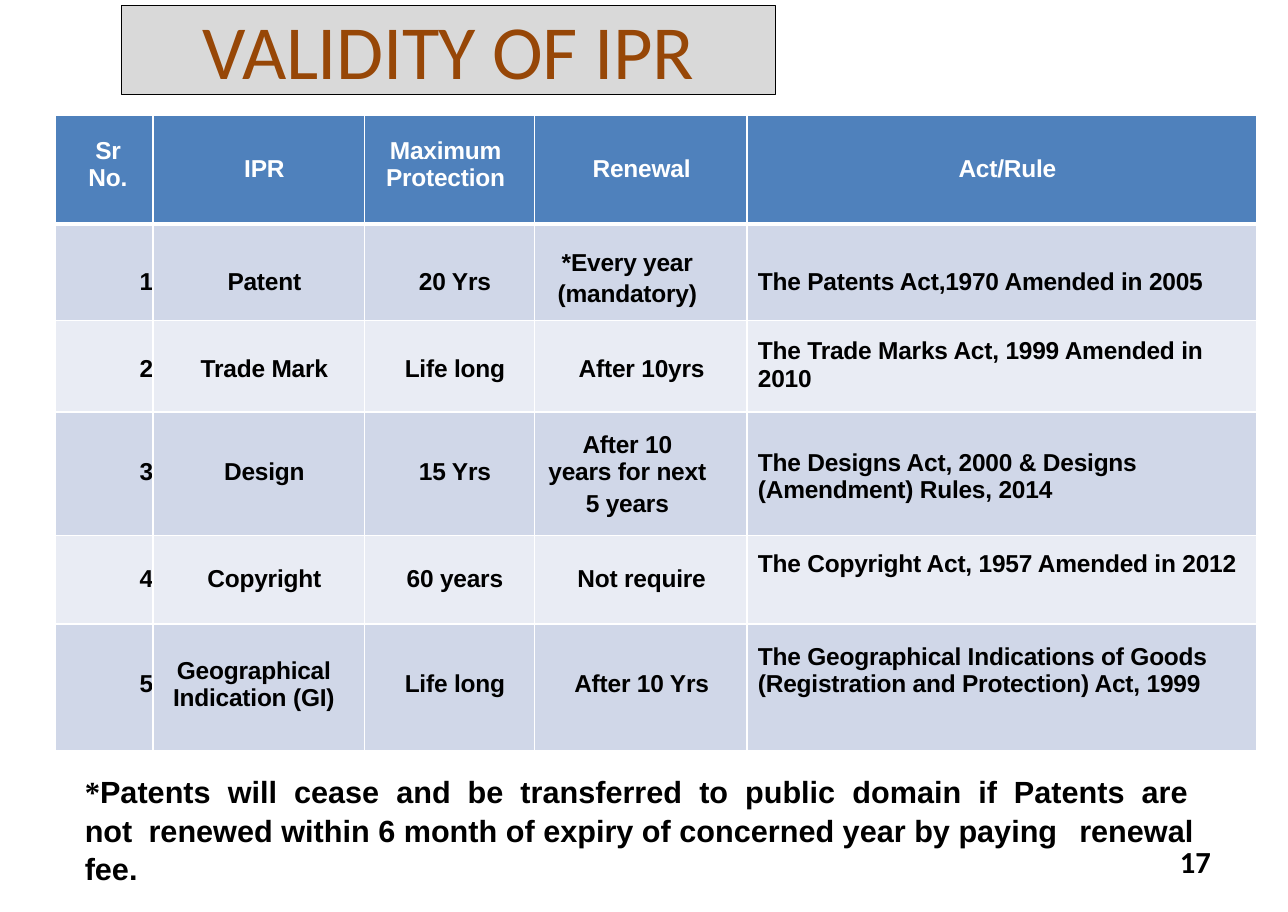
from lxml import etree
from pptx import Presentation
from pptx.dml.color import RGBColor
from pptx.enum.shapes import MSO_SHAPE
from pptx.enum.text import MSO_ANCHOR, PP_ALIGN
from pptx.oxml.ns import qn
from pptx.util import Inches, Pt

LEFT, CENTER, RIGHT = PP_ALIGN.LEFT, PP_ALIGN.CENTER, PP_ALIGN.RIGHT
TOP, MIDDLE = MSO_ANCHOR.TOP, MSO_ANCHOR.MIDDLE
RECTANGLE = MSO_SHAPE.RECTANGLE

COLORS = {
    "ink": "000000", "paper": "FFFFFF", "title": "974707", "title_fill": "D9D9D9",
    "header": "4F81BC", "odd": "D0D7E8", "even": "E9ECF4",
}
COLUMNS = [0.89, 1.92, 1.54, 1.93, 4.63]
ROWS = [0.99, 0.88, 0.83, 1.12, 0.81, 1.15]
ALIGNMENTS = [RIGHT, CENTER, CENTER, CENTER, LEFT]
# Left and right cell margins of each column
SIDES = [(0, 0), (0.1, 0), (0.1, 0), (0.02, 0), (0.1, 0)]
LEFT_EDGES = [1.5, 1, 1, 1, 1.5]
RIGHT_EDGES = [1, 1, 1, 1.5, 1.5]

VALIDITY = [
    ["Sr No.", "IPR", "Maximum Protection", "Renewal", "Act/Rule"],
    ["1", "Patent", "20 Yrs", "*Every year\n(mandatory)",
     "The Patents Act,1970 Amended in 2005"],
    ["2", "Trade Mark", "Life long", "After 10yrs",
     "The Trade Marks Act, 1999 Amended in 2010"],
    ["3", "Design", "15 Yrs", "After 10\vyears for next\n5 years",
     "The Designs Act, 2000 & Designs (Amendment) Rules, 2014"],
    ["4", "Copyright", "60 years", "Not require",
     "The Copyright Act, 1957 Amended in 2012"],
    ["5", "Geographical Indication (GI)", "Life long", "After 10 Yrs",
     "The Geographical Indications of Goods (Registration and Protection) Act, 1999"],
]
# Cells whose side margins differ from their column
CELL_SIDES = {(0, 0): (0.26, 0.19), (0, 2): (0.1, 0.17), (1, 3): (0, 0.24),
              (3, 3): (0, 0.24), (5, 1): (0, 0.09)}
# Distance of the text below the middle of its row, and cells that differ
ROW_SHIFTS = [0, 0.09, 0.03, -0.01, -0.01, -0.03]
CELL_SHIFTS = {(0, 0): -0.04, (0, 2): -0.04, (1, 3): 0.06, (2, 4): -0.01,
               (3, 3): 0.01, (3, 4): 0.03, (4, 4): -0.14, (5, 4): -0.16}

# Each stretch of the footnote with the points added to its word gaps
FOOTNOTE = [
    ("Patents will cease and be transferred to public domain if Patents are ", 5.5),
    ("not ", 5),
    ("renewed within 6 month of expiry of concerned year by ", 0),
    ("paying ", 8),
    ("renewal fee.", 0),
]


def color(name):
    return RGBColor.from_string(COLORS[name])


def style_font(font, ink, **values):
    for name, value in values.items():
        setattr(font, name, value)
    font.color.rgb = color(ink)


def set_margins(target, left=0, top=0, right=0, bottom=0):
    margins = {"left": left, "top": top, "right": right, "bottom": bottom}
    for side, length in margins.items():
        setattr(target, f"margin_{side}", Inches(length))


def add_text_box(page, box):
    frame = page.shapes.add_textbox(*map(Inches, box)).text_frame
    frame.word_wrap = True
    set_margins(frame)
    return frame


def add_title(page, box):
    shape = page.shapes.add_shape(RECTANGLE, *map(Inches, box))
    shape.shadow.inherit = False
    shape.fill.solid()
    shape.fill.fore_color.rgb = color("title_fill")
    shape.line.color.rgb = color("ink")
    shape.line.width = Pt(0.72)
    frame = shape.text_frame
    frame.vertical_anchor = TOP
    set_margins(frame)
    para = frame.paragraphs[0]
    para.alignment, para.line_spacing = CENTER, Pt(58.1)
    span = para.add_run()
    span.text = "VALIDITY OF IPR"
    style_font(span.font, "title", name="Calibri", size=Pt(50))
    span.font._element.set("spc", "-30")


def set_borders(cell, widths):
    properties = cell._tc.get_or_add_tcPr()
    for index, (side, width) in enumerate(widths.items()):
        line = etree.Element(qn(f"a:ln{side}"), w=str(int(Pt(width))))
        fill = etree.SubElement(line, qn("a:solidFill"))
        etree.SubElement(fill, qn("a:srgbClr"), val=COLORS["paper"])
        properties.insert(index, line)


def fill_cell(cell, row, column):
    header = row == 0
    cell.fill.solid()
    cell.fill.fore_color.rgb = color("header" if header else "odd" if row % 2 else "even")
    set_borders(cell, {
        "L": LEFT_EDGES[column], "R": RIGHT_EDGES[column],
        "T": {0: 1.5, 1: 3, 5: 1.5}.get(row, 1),
        "B": {0: 3, 4: 1.5, 5: 1.5}.get(row, 1),
    })
    cell.vertical_anchor = MIDDLE
    left, right = CELL_SIDES.get((row, column), SIDES[column])
    shift = CELL_SHIFTS.get((row, column), ROW_SHIFTS[row])
    set_margins(cell, left, max(2 * shift, 0), right, max(-2 * shift, 0))
    cell.text_frame.text = VALIDITY[row][column]
    for index, para in enumerate(cell.text_frame.paragraphs):
        para.alignment = CENTER if header else ALIGNMENTS[column]
        if index:
            para.space_before = Pt(3)
        for span in para.runs:
            style_font(span.font, "paper" if header else "ink",
                       name="Arial", size=Pt(16), bold=True)
            span.font._element.set("spc", "-10")


def add_validity_table(page, left, top):
    frame = page.shapes.add_table(len(ROWS), len(COLUMNS), Inches(left), Inches(top),
                                  Inches(sum(COLUMNS)), Inches(sum(ROWS)))
    table = frame.table
    for column, width in zip(table.columns, COLUMNS):
        column.width = Inches(width)
    for row, height in zip(table.rows, ROWS):
        row.height = Inches(height)
    for row in range(len(ROWS)):
        for column in range(len(COLUMNS)):
            fill_cell(table.cell(row, column), row, column)


def add_footnote(page, box):
    frame = add_text_box(page, box)
    set_margins(frame, left=0.01, top=0.01, right=0.2)
    para = frame.paragraphs[0]
    para.line_spacing = 1.05

    def add_span(text, font="Arial", gap=0):
        span = para.add_run()
        span.text = text
        style_font(span.font, "ink", name=font, size=Pt(20), bold=True)
        span.font._element.set("spc", str(int(gap * 100)))

    add_span("*", "Times New Roman")
    for text, gap in FOOTNOTE:
        if not gap:
            add_span(text)
            continue
        for word in text.split():
            add_span(word)
            add_span(" ", gap=gap)


def add_page_number(page, box):
    frame = add_text_box(page, box)
    set_margins(frame, left=0.04)
    para = frame.paragraphs[0]
    para.line_spacing = Pt(20)
    span = para.add_run()
    span.text = "17"
    style_font(span.font, "ink", name="Calibri", size=Pt(20), bold=True)


def main():
    deck = Presentation()
    deck.slide_width, deck.slide_height = Inches(11.69), Inches(8.28)
    page = deck.slides.add_slide(deck.slide_layouts[6])
    add_page_number(page, (10.67, 7.71, 0.37, 0.28))
    add_title(page, (1.1, 0.05, 5.94, 0.81))
    add_validity_table(page, 0.5, 1.04)
    add_footnote(page, (0.76, 6.99, 10.34, 1.02))
    deck.save("out.pptx")


if __name__ == "__main__":
    main()
